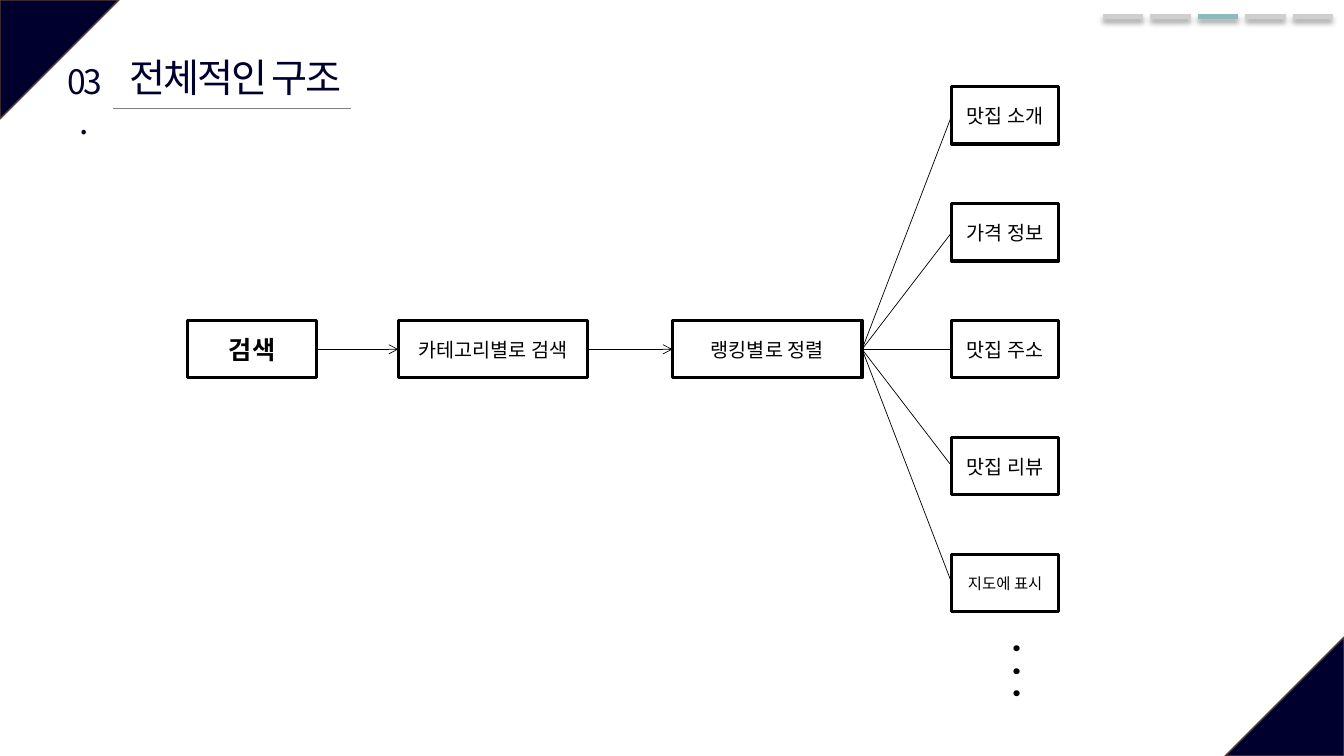
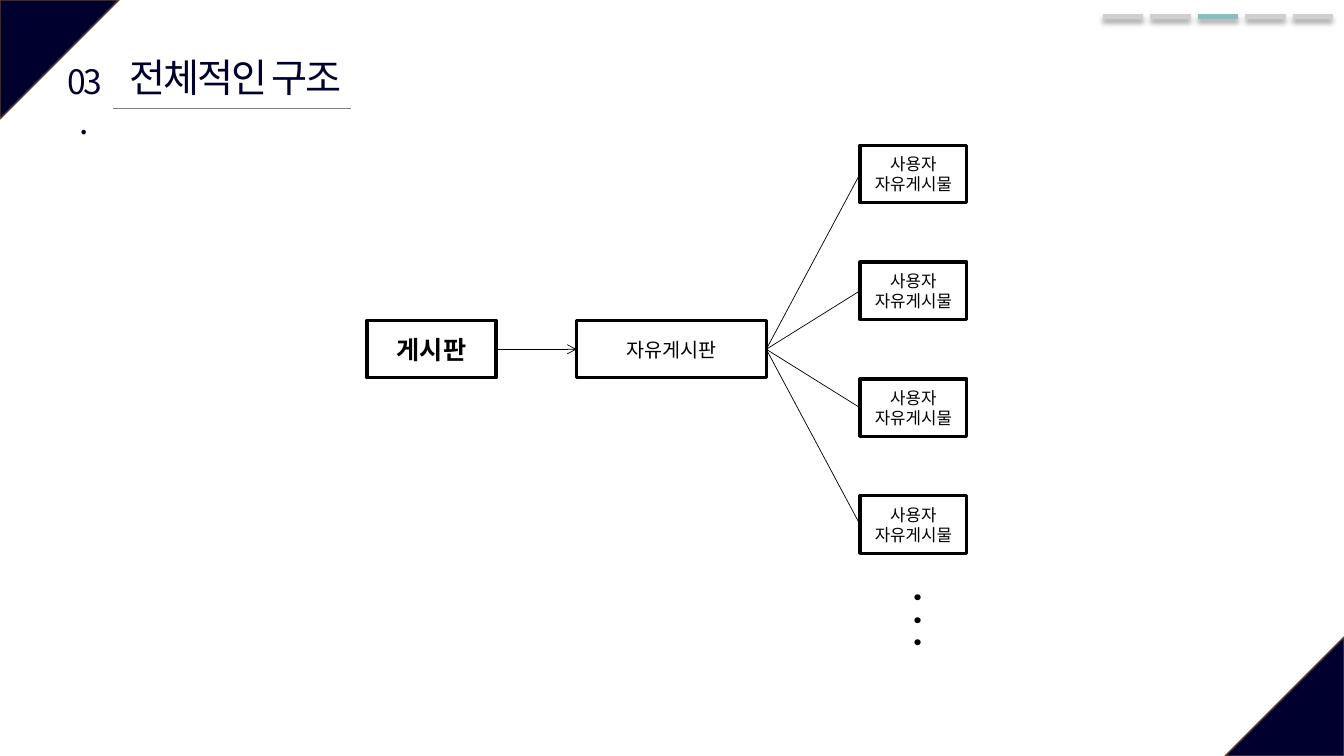
from lxml.etree import SubElement
from pptx import Presentation
from pptx.dml.color import RGBColor
from pptx.enum.shapes import MSO_CONNECTOR, MSO_SHAPE
from pptx.enum.text import MSO_ANCHOR, MSO_AUTO_SIZE, PP_ALIGN
from pptx.oxml.ns import qn
from pptx.util import Inches, Pt

FONT = "Noto Sans CJK KR"
NAVY, BROWN, BLACK, WHITE = "00002F", "5B3F33", "000000", "FFFFFF"
GRAY, TAB, TAB_ACTIVE = "808080", "D0CECE", "8DBABD"
WIDTH, HEIGHT, CORNER = 13.33, 7.5, 1.18
MID_ROW, ROW_STEP, BOX_H = 3.18, 1.16, 0.57
ROOT_W, STEP_W, LEAF_W = 1.28, 1.88, 1.06
LEFT_SITE, RIGHT_SITE = 1, 3
TABS, ACTIVE_TAB, TAB_LEFT, TAB_W, TAB_STEP = 5, 2, 10.94, 0.4, 0.47


def color(value):
    """Turn a hex string into a colour."""
    return RGBColor.from_string(value)


def inches(*values):
    """Convert numbers to inch lengths."""
    return [Inches(v) for v in values]


def set_text(s, text, size, ink, bold=False, spacing=0, align=PP_ALIGN.CENTER):
    """Put text in a shape and format every run."""
    tf = s.text_frame
    tf.text = text
    for p in tf.paragraphs:
        p.alignment = align
        for r in p.runs:
            r.font.name, r.font.size, r.font.bold = FONT, Pt(size), bold
            r.font.color.rgb = color(ink)
            rPr = r.font.element if hasattr(r.font, "element") else r._r.get_or_add_rPr()
            SubElement(rPr, qn("a:ea"), typeface=FONT)
            if spacing:
                rPr.set("spc", str(int(spacing * 100)))


def fit_box(s, wrap=False):
    """Anchor text at the top and let the shape grow with it."""
    tf = s.text_frame
    tf.vertical_anchor = MSO_ANCHOR.TOP
    tf.word_wrap = wrap
    tf.auto_size = MSO_AUTO_SIZE.SHAPE_TO_FIT_TEXT


def add_shape(sp, kind, box, fill, line, weight):
    """Add a filled, outlined shape without a shadow."""
    s = sp.add_shape(kind, *inches(*box))
    s.shadow.inherit = False
    s.fill.solid()
    s.fill.fore_color.rgb = color(fill)
    s.line.color.rgb = color(line)
    s.line.width = Pt(weight)
    return s


def add_line(sp, start=(0, 0), end=(0, 0), ink=BLACK, weight=0.5, shadow=False):
    """Add a straight line, with a soft shadow below it if asked."""
    c = sp.add_connector(MSO_CONNECTOR.STRAIGHT, *inches(*start, *end))
    c.line.color.rgb = color(ink)
    c.line.width = Pt(weight)
    effects = SubElement(c.element.spPr, qn("a:effectLst"))
    if shadow:
        outer = SubElement(effects, qn("a:outerShdw"), blurRad=str(Pt(4)),
                           dist=str(Pt(3)), dir="5400000", algn="t", rotWithShape="0")
        black = SubElement(outer, qn("a:srgbClr"), val=BLACK)
        SubElement(black, qn("a:alpha"), val="40000")
    return c


def link(sp, source, target, arrow=False):
    """Join the right side of one box to the left side of the next."""
    c = add_line(sp)
    c.begin_connect(source, RIGHT_SITE)
    c.end_connect(target, LEFT_SITE)
    if arrow:
        SubElement(c.element.spPr.find(qn("a:ln")), qn("a:tailEnd"), type="arrow")


def add_node(sp, left, top, width, text, size, bold=False):
    """Add one labelled box of the diagram."""
    s = add_shape(sp, MSO_SHAPE.RECTANGLE, (left, top, width, BOX_H), WHITE, BLACK, 2.25)
    s.text_frame.vertical_anchor = MSO_ANCHOR.MIDDLE
    set_text(s, text, size, BLACK, bold)
    return s


def add_corners(s, layout):
    """Place the two corner triangles on the layout."""
    corners = ((0, 0, 90), (WIDTH - CORNER, HEIGHT - CORNER, 270))
    for left, top, angle in corners:
        corner = add_shape(s.shapes, MSO_SHAPE.ISOSCELES_TRIANGLE,
                           (left, top, CORNER, CORNER), NAVY, BROWN, 1)
        corner.adjustments[0] = 0
        corner.rotation = angle
        layout.shapes.element.append(corner.element)


def add_header(s, number, title):
    """Add the section number, underlined title and progress tabs."""
    sp = s.shapes
    add_line(sp, (1.12, 1.08), (3.48, 1.08), GRAY)
    heading = sp.title
    heading.left, heading.top, heading.width, heading.height = inches(1.07, 0.48, 2.53, 0.56)
    set_text(heading, title, 28, NAVY, spacing=-1.5)
    fit_box(heading)
    label = sp.add_textbox(*inches(0.54, 0.55, 0.58, 0.49))
    set_text(label, number, 24, NAVY, spacing=-1.5)
    fit_box(label, wrap=True)
    for i in range(TABS):
        left = TAB_LEFT + i * TAB_STEP
        add_line(sp, (left, 0.16), (left + TAB_W, 0.16),
                 TAB_ACTIVE if i == ACTIVE_TAB else TAB, 3.5, shadow=True)


def add_chain(sp, steps):
    """Add the row of boxes joined by arrows; return the last box."""
    last = None
    for i, (left, text) in enumerate(steps):
        root = i == 0
        node = add_node(sp, left, MID_ROW, ROOT_W if root else STEP_W,
                        text, 18 if root else 14, root)
        if last:
            link(sp, last, node, arrow=True)
        last = node
    return last


def add_leaves(sp, hub, left, leaves):
    """Fan boxes out from the hub, centred on the middle row."""
    first = MID_ROW - (len(leaves) - 1) / 2 * ROW_STEP
    for i, (text, size) in enumerate(leaves):
        leaf = add_node(sp, left, first + i * ROW_STEP, LEAF_W, text, size)
        link(sp, hub, leaf)


def add_ellipsis(sp, left, top):
    """Add the vertical dots that continue the list."""
    dots = sp.add_textbox(*inches(left, top, 0.75, 0.7))
    set_text(dots, ". . .", 32, BLACK, align=PP_ALIGN.LEFT)
    fit_box(dots)
    dots.text_frame._txBody.bodyPr.set("vert", "eaVert")


def add_structure(prs, layout, steps, leaf_left, leaves, dots):
    """Build one structure slide."""
    s = prs.slides.add_slide(layout)
    add_header(s, "03.", "전체적인 구조")
    hub = add_chain(s.shapes, steps)
    add_leaves(s.shapes, hub, leaf_left, leaves)
    add_ellipsis(s.shapes, *dots)
    return s


def main():
    """Build and save both slides."""
    prs = Presentation()
    prs.slide_width, prs.slide_height = inches(WIDTH, HEIGHT)
    layout = prs.slide_layouts[5]
    search = add_structure(
        prs, layout,
        [(1.86, "검색"), (3.95, "카테고리별로 검색"), (6.67, "랭킹별로 정렬")],
        9.44,
        [("맛집 소개", 14), ("가격 정보", 14), ("맛집 주소", 14),
         ("맛집 리뷰", 14), ("지도에 표시", 11)],
        (9.81, 6.28))
    add_corners(search, layout)
    add_structure(
        prs, layout,
        [(3.64, "게시판"), (5.72, "자유게시판")],
        8.53,
        [("사용자\n자유게시물", 12)] * 4,
        (8.82, 5.77))
    prs.save("out.pptx")


main()
